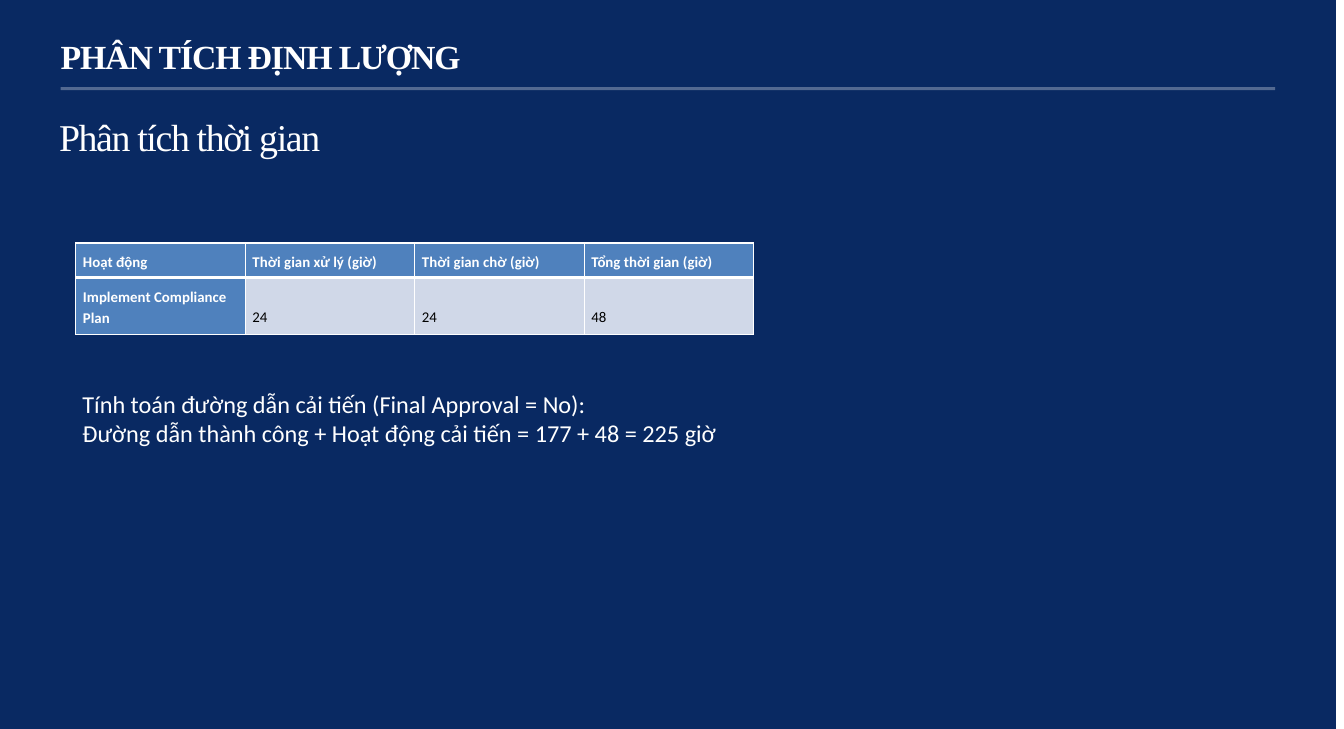
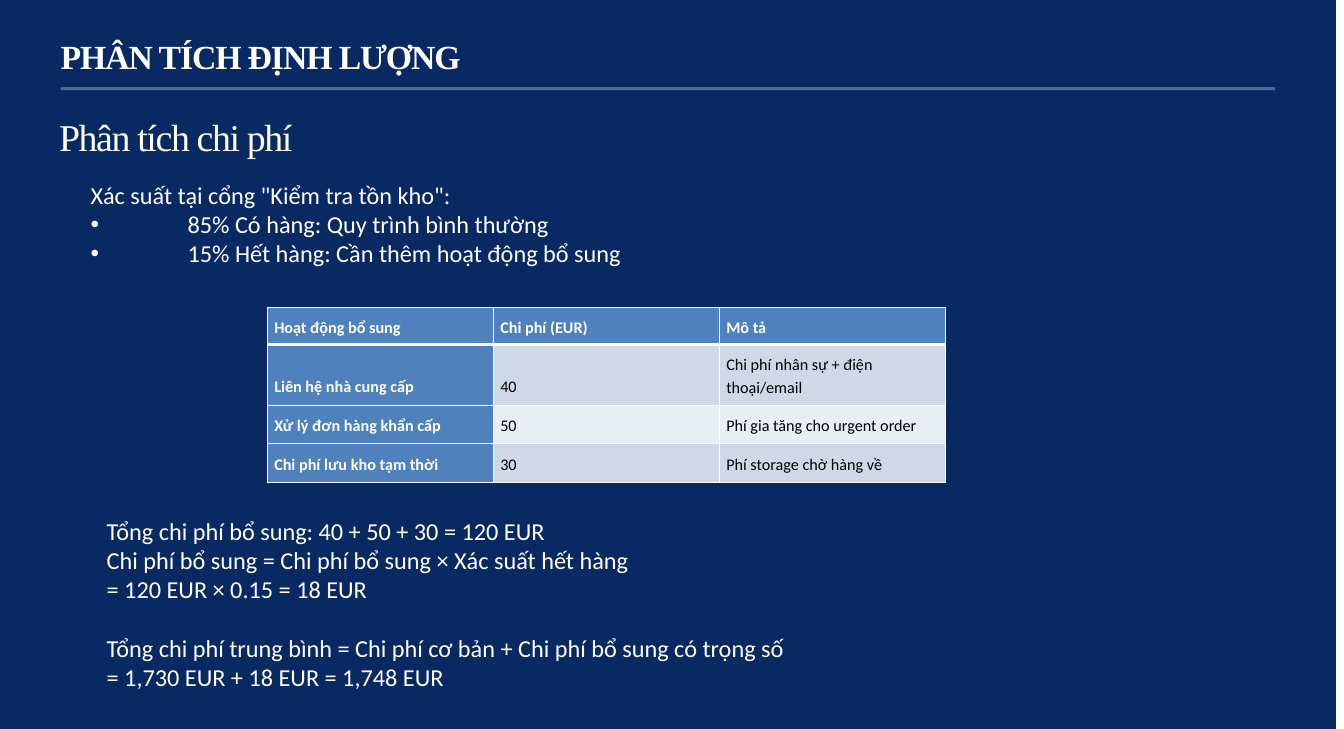
from dataclasses import dataclass

from lxml.etree import SubElement
from pptx import Presentation
from pptx.dml.color import RGBColor
from pptx.enum.shapes import MSO_SHAPE
from pptx.enum.text import MSO_ANCHOR, MSO_AUTO_SIZE
from pptx.oxml.ns import qn
from pptx.util import Emu, Pt

PX = 9525  # EMU in one px, 96 px to the inch


@dataclass(frozen=True)
class Theme:
    navy: str = "092962"
    white: str = "FFFFFF"
    black: str = "000000"
    table_head: str = "4F81BD"
    table_bands: tuple = ("D0D8E8", "E9EDF4")
    serif: str = "Times New Roman"
    sans: str = "Calibri"
    title_size: int = 25
    subtitle_size: int = 28
    body_size: int = 18


theme = Theme()
title_style = {
    "font": {"name": theme.serif, "size": Pt(theme.title_size), "bold": True},
    "paragraph": {"space_before": Pt(1)},
    "tracking": -80,
}
subtitle_style = {
    "font": {"name": theme.serif, "size": Pt(theme.subtitle_size)},
    "paragraph": {"space_before": Pt(10.4)},
    "tracking": -100,
}
body_style = {
    "font": {"name": theme.sans, "size": Pt(theme.body_size)},
    "paragraph": {},
    "tracking": 0,
}


def write_lines(frame, lines, style, color=theme.white):
    """Fill a text frame; a line is (text, kind), kind being plain, bullet or gap."""
    for index, (text, kind) in enumerate(lines):
        paragraph = frame.paragraphs[0] if index == 0 else frame.add_paragraph()
        for name, value in style["paragraph"].items():
            setattr(paragraph, name, value)
        run = paragraph.add_run()
        run.text = text
        for name, value in style["font"].items():
            setattr(run.font, name, value)
        run.font.color.rgb = RGBColor.from_string(color)
        if style["tracking"]:
            run.font._element.set("spc", str(style["tracking"]))
        if kind == "gap":
            paragraph.space_before = Pt(22)
        elif kind == "bullet":
            properties = paragraph._p.get_or_add_pPr()
            properties.set("marL", str(96 * PX))
            properties.set("indent", str(-96 * PX))
            SubElement(properties, qn("a:buFont"), typeface="Arial")
            SubElement(properties, qn("a:buChar"), char="•")


def add_text(slide, box, lines, style, margins=None):
    frame = slide.shapes.add_textbox(*(Emu(length * PX) for length in box)).text_frame
    frame.word_wrap = True
    frame.auto_size = MSO_AUTO_SIZE.SHAPE_TO_FIT_TEXT
    for side, length in (margins or {}).items():
        setattr(frame, f"margin_{side}", Emu(length * PX))
    write_lines(frame, lines, style)


slides = [
    {
        "subtitle": "Phân tích thời gian",
        "texts": [
            ((72, 380, 664, 68), [
                ("Tính toán đường dẫn cải tiến (Final Approval = No):", "plain"),
                ("Đường dẫn thành công + Hoạt động cải tiến = 177 + 48 = 225 giờ", "plain"),
            ]),
        ],
        "table_at": (75, 240),
        "table_size": 11,
        "row_heights": (34, 56),
        "rows": [
            ("Hoạt động", "Thời gian xử lý (giờ)", "Thời gian chờ (giờ)", "Tổng thời gian (giờ)"),
            ("Implement Compliance Plan", "24", "24", "48"),
        ],
    },
    {
        "subtitle": "Phân tích chi phí",
        "texts": [
            ((80, 173, 664, 97), [
                ("Xác suất tại cổng \"Kiểm tra tồn kho\":", "plain"),
                ("85% Có hàng: Quy trình bình thường", "bullet"),
                ("15% Hết hàng: Cần thêm hoạt động bổ sung", "bullet"),
            ]),
            ((96, 505, 816, 213), [
                ("Tổng chi phí bổ sung: 40 + 50 + 30 = 120 EUR", "plain"),
                ("Chi phí bổ sung = Chi phí bổ sung × Xác suất hết hàng", "plain"),
                ("= 120 EUR × 0.15 = 18 EUR", "plain"),
                ("Tổng chi phí trung bình = Chi phí cơ bản + Chi phí bổ sung có trọng số", "gap"),
                ("= 1,730 EUR + 18 EUR = 1,748 EUR", "plain"),
            ]),
        ],
        "table_at": (264, 304),
        "table_size": 12,
        "row_heights": (35, 59, 37, 37),
        "rows": [
            ("Hoạt động bổ sung", "Chi phí (EUR)", "Mô tả"),
            ("Liên hệ nhà cung cấp", "40", "Chi phí nhân sự + điện thoại/email"),
            ("Xử lý đơn hàng khẩn cấp", "50", "Phí gia tăng cho urgent order"),
            ("Chi phí lưu kho tạm thời", "30", "Phí storage chờ hàng về"),
        ],
    },
]
TABLE_WIDTH = 670

presentation = Presentation()
presentation.slide_width = Emu(1328 * PX)
presentation.slide_height = Emu(720 * PX)
layout = presentation.slide_layouts[6]

for number, content in enumerate(slides):
    slide = presentation.slides.add_slide(layout)

    # The navy panel and the title rule live on the layout, shared by all slides.
    if number == 0:
        for box, color, opacity in (
            ((0, 0, 1320, 720), theme.navy, 100),
            ((60, 86, 1200, 3), theme.white, 30),
        ):
            shape = slide.shapes.add_shape(
                MSO_SHAPE.RECTANGLE, *(Emu(length * PX) for length in box))
            shape.shadow.inherit = False
            shape.line.fill.background()
            shape.fill.solid()
            shape.fill.fore_color.rgb = RGBColor.from_string(color)
            if opacity < 100:
                fill_color = shape.element.find(".//" + qn("a:srgbClr"))
                SubElement(fill_color, qn("a:alpha"), val=str(opacity * 1000))
            layout.shapes.element.append(shape.element)

    add_text(slide, (60, 34, 599, 43), [("PHÂN TÍCH ĐỊNH LƯỢNG", "plain")], title_style,
             {"left": 0, "top": 1, "right": 0, "bottom": 0})
    add_text(slide, (49, 108, 664, 55), [(content["subtitle"], "plain")], subtitle_style)
    for box, lines in content["texts"]:
        add_text(slide, box, lines, body_style)

    rows, heights = content["rows"], content["row_heights"]
    left, top = content["table_at"]
    table = slide.shapes.add_table(
        len(rows), len(rows[0]), Emu(left * PX), Emu(top * PX),
        Emu(TABLE_WIDTH * PX), Emu(sum(heights) * PX)).table
    for column in table.columns:
        column.width = Emu(TABLE_WIDTH * PX // len(rows[0]))

    for row_index, (row, height) in enumerate(zip(rows, heights)):
        table.rows[row_index].height = Emu(height * PX)
        is_header = row_index == 0
        for column_index, text in enumerate(row):
            is_heading = is_header or column_index == 0
            cell = table.cell(row_index, column_index)
            vertical_margin = Emu((7 if is_header else 8) * PX)
            cell_format = {
                "margin_left": Emu(7 * PX),
                "margin_right": Emu(7 * PX),
                "margin_top": vertical_margin,
                "margin_bottom": vertical_margin,
                "vertical_anchor": MSO_ANCHOR.TOP if is_header else MSO_ANCHOR.BOTTOM,
            }
            for name, value in cell_format.items():
                setattr(cell, name, value)
            cell_style = {
                "font": {"name": theme.sans, "size": Pt(content["table_size"]),
                         "bold": is_heading},
                "paragraph": {"line_spacing": 1.15, "space_after": Pt(8)},
                "tracking": 0,
            }
            write_lines(cell.text_frame, [(text, "plain")], cell_style,
                        theme.white if is_heading else theme.black)

            # Borders come before the fill in the cell properties.
            properties = cell._tc.get_or_add_tcPr()
            border_widths = {"lnL": 1, "lnR": 1,
                             "lnT": 3 if row_index == 1 else 1,
                             "lnB": 3 if is_header else 1}
            for tag, width in border_widths.items():
                border = SubElement(properties, qn(f"a:{tag}"), w=str(Pt(width)))
                border_fill = SubElement(border, qn("a:solidFill"))
                SubElement(border_fill, qn("a:srgbClr"), val=theme.white)
            cell.fill.solid()
            cell.fill.fore_color.rgb = RGBColor.from_string(
                theme.table_head if is_heading else theme.table_bands[(row_index - 1) % 2])

presentation.save("out.pptx")
